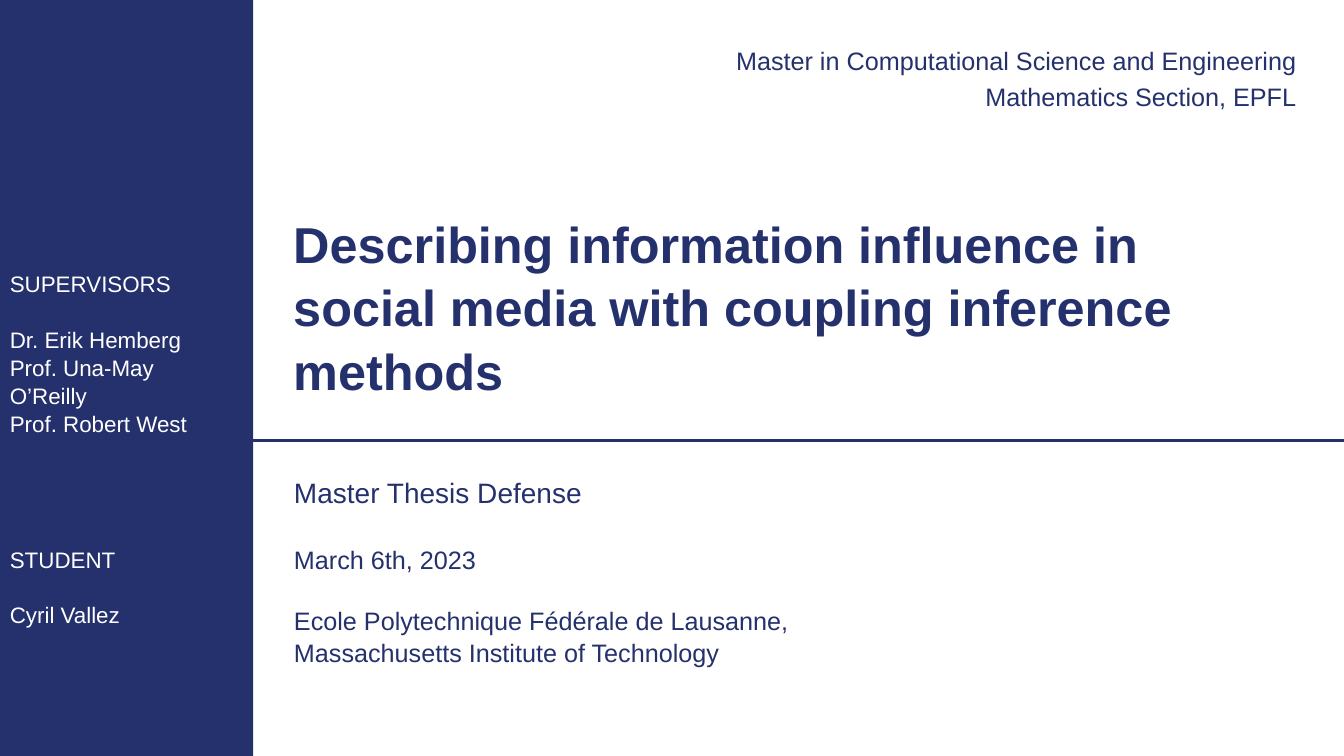
from dataclasses import dataclass

from pptx import Presentation
from pptx.dml.color import RGBColor
from pptx.enum.shapes import MSO_CONNECTOR, MSO_SHAPE
from pptx.enum.text import MSO_ANCHOR, MSO_AUTO_SIZE, PP_ALIGN
from pptx.oxml.ns import qn
from pptx.util import Cm, Pt
from lxml import etree

RECTANGLE = MSO_SHAPE.RECTANGLE
STRAIGHT = MSO_CONNECTOR.STRAIGHT
TOP, MIDDLE, BOTTOM = MSO_ANCHOR.TOP, MSO_ANCHOR.MIDDLE, MSO_ANCHOR.BOTTOM
LEFT, RIGHT = PP_ALIGN.LEFT, PP_ALIGN.RIGHT
NO_FIT = MSO_AUTO_SIZE.NONE

NAVY = "25316D"
WHITE = "FFFFFF"
FONT = "Arial"
SLIDE_W, SLIDE_H = 33.87, 19.05
BAND_W = 6.38
RULE_Y = 11.1
INSET = 0.25


@dataclass(frozen=True)
class Line:
    text: str
    size: int
    before: float = 0


@dataclass(frozen=True)
class Block:
    left: float
    top: float
    width: float
    height: float
    lines: tuple[Line, ...]
    color: str = NAVY
    bold: bool = False
    anchor: MSO_ANCHOR = TOP
    align: PP_ALIGN = LEFT
    spacing: float = 1.05
    right_inset: float = INSET


TITLE = Block(7.14, 5.46, 25, 4.88, (
    Line("Describing information influence in social media with coupling inference methods", 36),
), bold=True, anchor=BOTTOM)

BLOCKS = (
    Block(7.16, 11.68, 25, 5.46, (
        Line("Master Thesis Defense", 20),
        Line("March 6th, 2023", 18, 24.5),
        Line("Ecole Polytechnique Fédérale de Lausanne,", 18, 21),
        Line("Massachusetts Institute of Technology", 18),
    )),
    Block(0, 4.67, 6.17, 13.28, (
        Line("SUPERVISORS", 16),
        Line("Dr. Erik Hemberg", 16, 19.3),
        Line("Prof. Una-May O’Reilly", 16),
        Line("Prof. Robert West", 16),
        Line("STUDENT", 16, 77),
        Line("Cyril Vallez", 16, 19.3),
    ), color=WHITE, anchor=MIDDLE, right_inset=0.5),
    Block(15.88, 0.74, 17.04, 3.15, (
        Line("Master in Computational Science and Engineering Mathematics Section, EPFL", 18),
    ), align=RIGHT, spacing=1.2),
)


def rgb(value: str) -> RGBColor:
    return RGBColor.from_string(value)


def fill_block(sp, block: Block) -> None:
    sp.left, sp.top = Cm(block.left), Cm(block.top)
    sp.width, sp.height = Cm(block.width), Cm(block.height)
    tf = sp.text_frame
    tf.word_wrap = True
    tf.auto_size = NO_FIT
    tf.vertical_anchor = block.anchor
    tf.margin_left = tf.margin_top = tf.margin_bottom = Cm(INSET)
    tf.margin_right = Cm(block.right_inset)
    for i, line in enumerate(block.lines):
        p = tf.add_paragraph() if i else tf.paragraphs[0]
        p.text = line.text
        p.alignment = block.align
        p.line_spacing = block.spacing
        p.space_before = Pt(line.before)
        p.font.name = FONT
        p.font.size = Pt(line.size)
        p.font.bold = block.bold
        p.font.color.rgb = rgb(block.color)


def add_band(s) -> None:
    band = s.shapes.add_shape(RECTANGLE, 0, 0, Cm(BAND_W), Cm(SLIDE_H))
    band.shadow.inherit = False
    band.fill.solid()
    band.fill.fore_color.rgb = rgb(NAVY)
    band.line.fill.background()


def add_rule(s) -> None:
    rule = s.shapes.add_connector(STRAIGHT, Cm(BAND_W), Cm(RULE_Y), Cm(SLIDE_W), Cm(RULE_Y))
    rule.line.color.rgb = rgb(NAVY)
    rule.line.width = Pt(1.5)
    etree.SubElement(rule._element.spPr, qn("a:effectLst"))


def main() -> None:
    prs = Presentation()
    prs.slide_width, prs.slide_height = Cm(SLIDE_W), Cm(SLIDE_H)
    s = prs.slides.add_slide(prs.slide_layouts[5])
    add_band(s)
    add_rule(s)
    fill_block(s.shapes.title, TITLE)
    for block in BLOCKS:
        fill_block(s.shapes.add_textbox(0, 0, 0, 0), block)
    prs.save("out.pptx")


if __name__ == "__main__":
    main()
